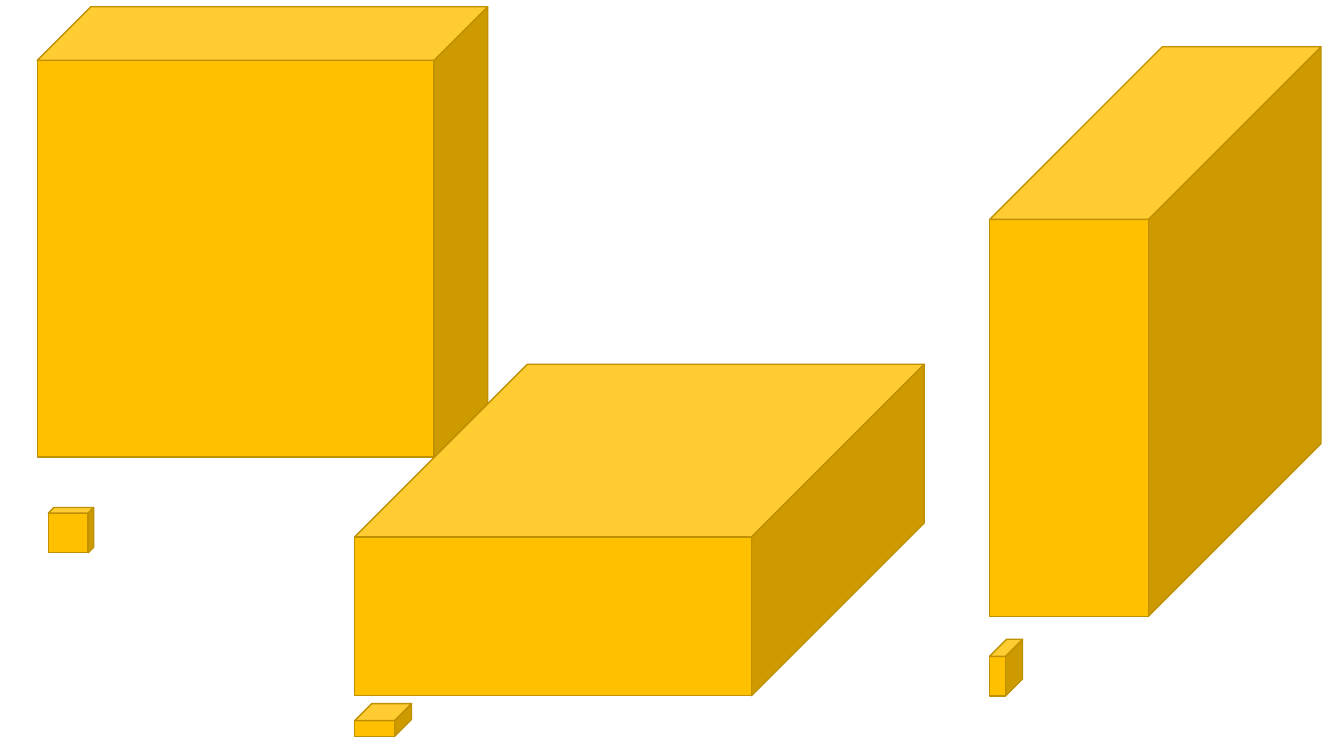
from pptx import Presentation
from pptx import util as u
from pptx.dml.color import RGBColor
from pptx.enum import shapes as sh

Cm = u.Cm
THEME = {"front": "FFC000", "top": "FFCC32", "side": "CD9A00",
         "edge": "BF9000", "line": u.Pt(1)}


def paint(face, tone):
    face.shadow.inherit = False
    face.fill.solid()
    face.fill.fore_color.rgb = RGBColor.from_string(THEME[tone])
    face.line.color.rgb = RGBColor.from_string(THEME["edge"])
    face.line.width = THEME["line"]


def outline(group, points, tone):
    points = [(Cm(x), Cm(y)) for x, y in points]
    pen = group.shapes.build_freeform(*points[0])
    pen.add_line_segments(points[1:], close=True)
    paint(pen.convert_to_shape(), tone)


# Slide
deck = Presentation()
deck.slide_width, deck.slide_height = Cm(33.87), Cm(19.05)
slide = deck.slides.add_slide(deck.slide_layouts[6])

# Blocks: left and top of the front face, then width, height and depth
blocks = [
    (24.94, 5.53, 4, 10, 4.35),
    (24.94, 16.54, 0.4, 1, 0.43),
    (8.94, 13.53, 10, 4, 4.35),
    (8.94, 18.16, 1, 0.4, 0.43),
    (0.94, 1.52, 10, 10, 1.35),
    (1.22, 12.93, 1, 1, 0.14),
]

for left, top, wide, high, deep in blocks:
    right, base = left + wide, top + high
    back, rise = right + deep, top - deep
    group = slide.shapes.add_group_shape()

    # Side, front and top faces
    outline(group, [(right, base), (back, base - deep),
                    (back, rise), (right, top)], "side")
    front = group.shapes.add_shape(sh.MSO_SHAPE.RECTANGLE, Cm(left), Cm(top),
                                   Cm(wide), Cm(high))
    paint(front, "front")
    outline(group, [(left, top), (right, top),
                    (back, rise), (left + deep, rise)], "top")

deck.save("out.pptx")
